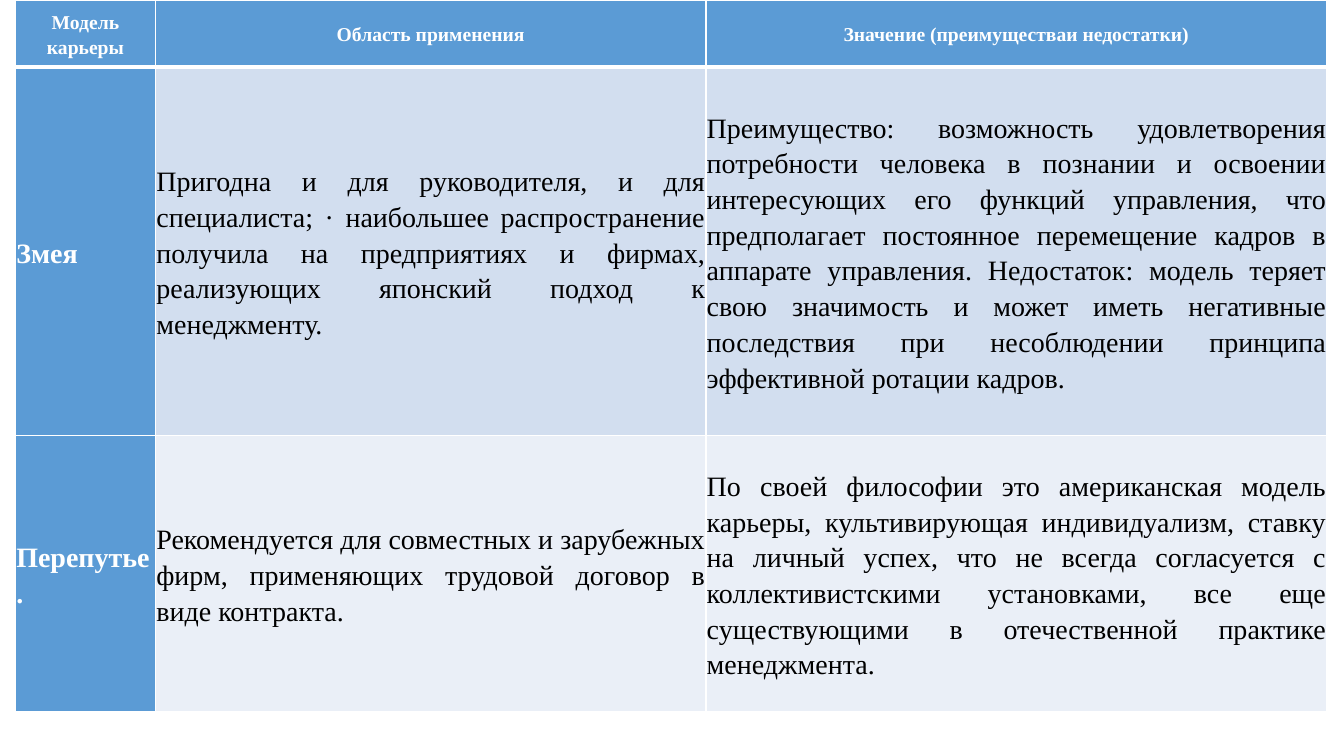
from lxml import etree
from pptx import Presentation
from pptx.dml.color import RGBColor
from pptx.enum.text import MSO_ANCHOR, PP_ALIGN
from pptx.oxml.ns import qn
from pptx.util import Cm, Pt

CENTER, JUSTIFY = PP_ALIGN.CENTER, PP_ALIGN.JUSTIFY
MIDDLE = MSO_ANCHOR.MIDDLE

WHITE = RGBColor(0xFF, 0xFF, 0xFF)
BLACK = RGBColor(0, 0, 0)
BLUE = RGBColor(0x5B, 0x9B, 0xD5)
BAND_DARK = RGBColor(0xD2, 0xDE, 0xEF)
BAND_LIGHT = RGBColor(0xEA, 0xEF, 0xF7)

COL_WIDTHS = [3.53, 13.87, 15.65]
ROW_HEIGHTS = [1.68, 9.3, 6.96]
ROWS = [
    ["Модель карьеры", "Область применения", "Значение (преимуществаи недостатки)"],
    ["Змея",
     "Пригодна и для руководителя, и для специалиста; · наибольшее распространение "
     "получила на предприятиях и фирмах, реализующих японский подход к менеджменту.",
     "Преимущество: возможность удовлетворения потребности человека в познании и "
     "освоении интересующих его функций управления, что предполагает постоянное "
     "перемещение кадров в аппарате управления. Недостаток: модель теряет свою "
     "значимость и может иметь негативные последствия при несоблюдении принципа "
     "эффективной ротации кадров."],
    ["Перепутье.",
     "Рекомендуется для совместных и зарубежных фирм, применяющих трудовой договор "
     "в виде контракта.",
     "По своей философии это американская модель карьеры, культивирующая "
     "индивидуализм, ставку на личный успех, что не всегда согласуется с "
     "коллективистскими установками, все еще существующими в отечественной "
     "практике менеджмента."],
]


def write_text(cell, text, size=20, color=BLACK, bold=False, align=JUSTIFY):
    cell.vertical_anchor = MIDDLE
    cell.margin_left = cell.margin_right = Cm(0.02)
    cell.margin_top = cell.margin_bottom = Cm(0.02)
    p = cell.text_frame.paragraphs[0]
    p.alignment = align
    p.line_spacing = 1.15
    r = p.add_run()
    r.text = text
    r.font.name = "Times New Roman"
    r.font.size = Pt(size)
    r.font.bold = bold
    r.font.color.rgb = color


def add_border(cell, side, width):
    tc_pr = cell._tc.get_or_add_tcPr()
    ln = etree.SubElement(tc_pr, qn(f"a:ln{side}"), w=str(Pt(width)))
    fill = etree.SubElement(ln, qn("a:solidFill"))
    etree.SubElement(fill, qn("a:srgbClr"), val=str(WHITE))


prs = Presentation()
prs.slide_width, prs.slide_height = Cm(33.87), Cm(19.05)
s = prs.slides.add_slide(prs.slide_layouts[6])

# Career model table
table = s.shapes.add_table(len(ROWS), len(COL_WIDTHS), Cm(0.39), Cm(0),
                           Cm(sum(COL_WIDTHS)), Cm(sum(ROW_HEIGHTS))).table
for column, width in zip(table.columns, COL_WIDTHS):
    column.width = Cm(width)
for row, height in zip(table.rows, ROW_HEIGHTS):
    row.height = Cm(height)

# Cells: blue header row and first column, banded body
for i, texts in enumerate(ROWS):
    for j, text in enumerate(texts):
        cell = table.cell(i, j)
        heading = i == 0 or j == 0
        write_text(cell, text, size=14 if i == 0 else 20,
                   color=WHITE if heading else BLACK, bold=heading,
                   align=CENTER if i == 0 else JUSTIFY)
        # Thick line between header and body
        for side in "LRTB":
            thick = (i, side) in ((0, "B"), (1, "T"))
            add_border(cell, side, 3 if thick else 1)
        cell.fill.solid()
        cell.fill.fore_color.rgb = BLUE if heading else (BAND_LIGHT, BAND_DARK)[i % 2]

prs.save("out.pptx")
